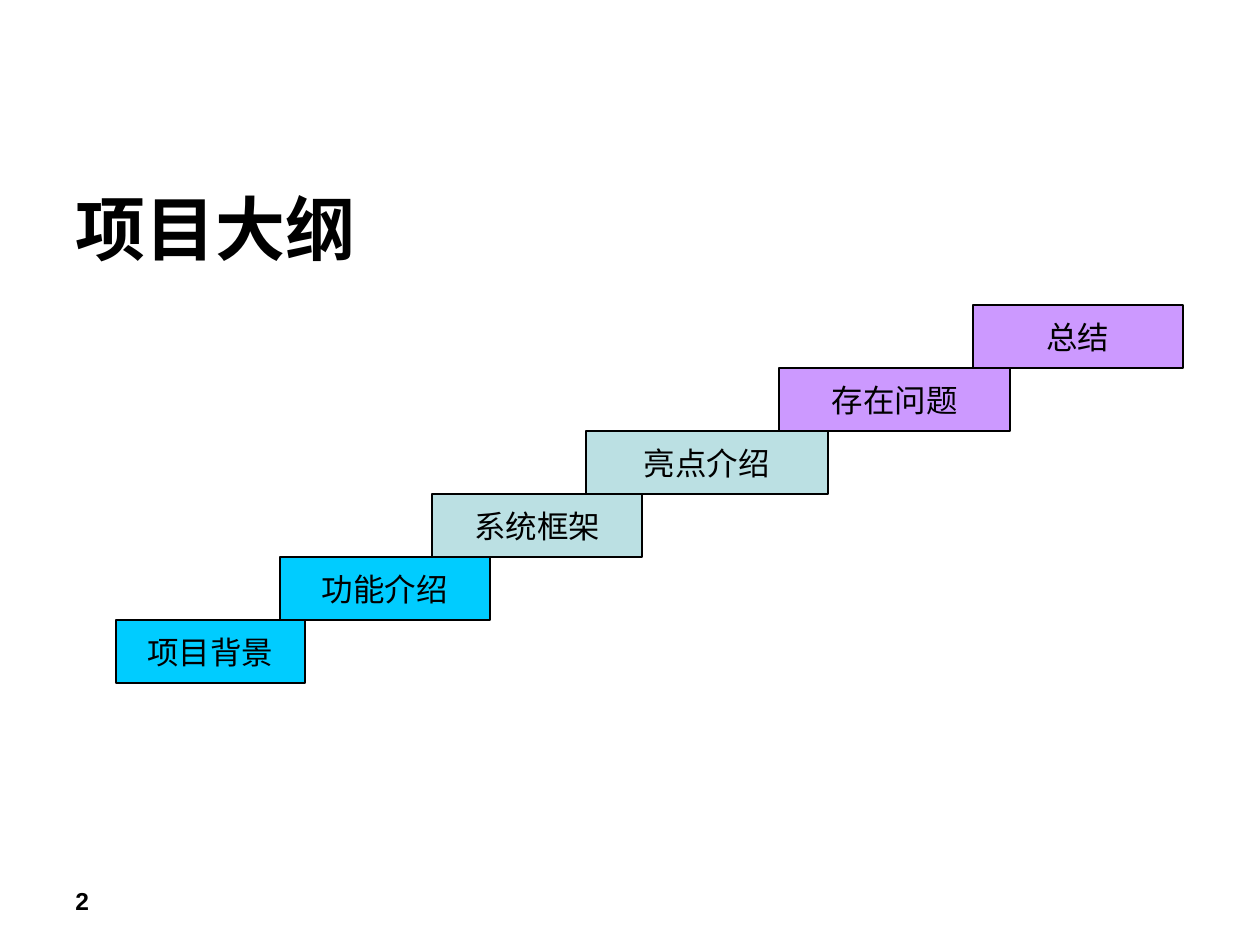
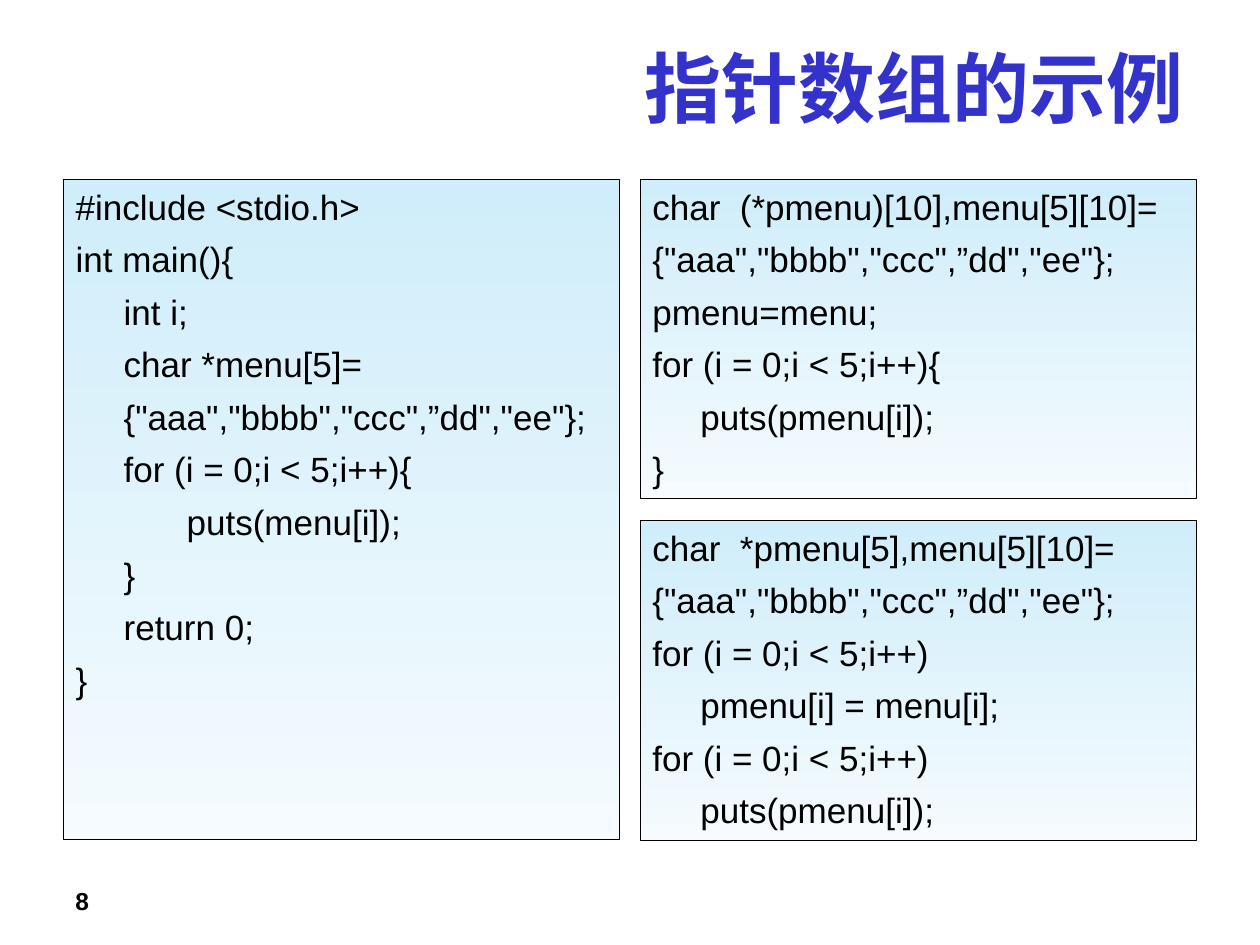
import pptx
import pptx.util
import pptx.dml.color
import pptx.enum.shapes
import pptx.enum.text
import lxml.etree
from pptx.oxml.ns import qn

SCALE = 914400 / 126  # EMU in one px
FONT = "Arial"
BLACK, INDIGO = "000000", "3333CC"
CYAN, TEAL, LILAC = "00CCFF", "BBE0E3", "CC99FF"
FADE = ("CFEDFA", "F5FBFE")
LEFT, TOP, WIDTH, DEPTH = 63, 179, 1134, 661  # content area
GAP = 20
HANG = 48
TAB = 126
STEP = 63

ALIGN = pptx.enum.text.PP_ALIGN
ANCHOR = pptx.enum.text.MSO_ANCHOR
SHAPE = pptx.enum.shapes.MSO_SHAPE

MENU = '{"aaa","bbbb","ccc",”dd","ee"};'
LOOP = "for (i = 0;i < 5;i++)"

MAIN = f"""#include <stdio.h>
int main(){{
\tint i;
\tchar *menu[5]=
\t{MENU}
\t{LOOP}{{
\t\tputs(menu[i]);
\t}}
\treturn 0;
}}"""

ROWS = f"""char  (*pmenu)[10],menu[5][10]=
{MENU}
pmenu=menu;
{LOOP}{{
\tputs(pmenu[i]);
}}"""

LIST = f"""char  *pmenu[5],menu[5][10]=
{MENU}
{LOOP}
\tpmenu[i] = menu[i];
{LOOP}
\tputs(pmenu[i]);"""


def px(count):
    return pptx.util.Emu(round(count * SCALE))


def color(code):
    return pptx.dml.color.RGBColor.from_string(code)


def place(shape, left, top, width, height):
    shape.left, shape.top = px(left), px(top)
    shape.width, shape.height = px(width), px(height)


def indent(para):
    """Give a code line a hanging indent, tab stops and no bullet."""
    props = para._p.get_or_add_pPr()
    props.set("marL", str(px(HANG)))
    props.set("indent", str(-px(HANG)))
    lxml.etree.SubElement(props, qn("a:buNone"))
    tabs = lxml.etree.SubElement(props, qn("a:tabLst"))
    for stop in range(3):
        lxml.etree.SubElement(tabs, qn("a:tab"), pos=str(px(stop * TAB)), algn="l")


def write(shape, text, size=18, hue=BLACK, bold=False, align=ALIGN.LEFT,
          anchor=ANCHOR.TOP, wrap=True, code=False, before=0):
    frame = shape.text_frame
    frame.word_wrap = wrap
    frame.auto_size = pptx.enum.text.MSO_AUTO_SIZE.NONE
    frame.vertical_anchor = anchor
    for index, line in enumerate(text.split("\n")):
        para = frame.add_paragraph() if index else frame.paragraphs[0]
        if code:
            indent(para)
        para.alignment = align
        para.space_before = pptx.util.Pt(before if index else 0)
        run = para.add_run()
        run.text = line
        run.font.name = FONT
        run.font.size = pptx.util.Pt(size)
        run.font.bold = bold
        run.font.color.rgb = color(hue)


def border(shape, weight):
    shape.line.color.rgb = color(BLACK)
    shape.line.width = pptx.util.Pt(weight)


def start(deck, layout, number):
    """Add a slide with its page number."""
    slide = deck.slides.add_slide(deck.slide_layouts[layout])
    box = slide.shapes.add_textbox(px(LEFT), px(880), px(294), px(30))
    write(box, number, size=14, bold=True)
    return slide


def block(slide, kind, left, top, width, height):
    shape = slide.shapes.add_shape(kind, px(left), px(top), px(width), px(height))
    shape.shadow.inherit = False
    return shape


def stair(slide, index, text, left, width, hue, kind):
    shape = block(slide, kind, left, 620 - index * STEP, width, STEP)
    shape.fill.solid()
    shape.fill.fore_color.rgb = color(hue)
    border(shape, 0.75)
    write(shape, text, align=ALIGN.CENTER, anchor=ANCHOR.MIDDLE, wrap=False)


def panel(shape, text):
    """Turn a shape into a code panel."""
    shape.fill.gradient()
    shape.fill.gradient_angle = 270
    for stop, hue in zip(shape.fill.gradient_stops, FADE):
        stop.color.rgb = color(hue)
    border(shape, 0.5)
    write(shape, text, size=20, code=True, before=6)


def outline(deck):
    slide = start(deck, 5, "2")
    title = slide.shapes.title
    place(title, LEFT, TOP, WIDTH, DEPTH)
    write(title, "项目大纲", size=40, bold=True)
    flow, rect = SHAPE.FLOWCHART_PROCESS, SHAPE.RECTANGLE
    stairs = [
        ("项目背景", 116, 189, CYAN, flow),
        ("功能介绍", 280, 210, CYAN, flow),
        ("系统框架", 432, 210, TEAL, flow),
        ("亮点介绍", 586, 242, TEAL, rect),
        ("存在问题", 779, 231, LILAC, rect),
        ("总结", 973, 210, LILAC, rect),
    ]
    for index, stage in enumerate(stairs):
        stair(slide, index, *stage)


def sample(deck):
    slide = start(deck, 1, "8")
    title, body = slide.placeholders
    place(title, LEFT, 32, WIDTH, 110)
    write(title, "指针数组的示例", size=44, hue=INDIGO, bold=True,
          align=ALIGN.RIGHT, anchor=ANCHOR.MIDDLE)
    width = (WIDTH - GAP) // 2
    height = (DEPTH - GAP) // 2
    place(body, LEFT, TOP, width, DEPTH)
    panel(body, MAIN)
    for text, top in ((ROWS, TOP), (LIST, TOP + DEPTH - height)):
        shape = block(slide, SHAPE.RECTANGLE, LEFT + width + GAP, top, width, height)
        panel(shape, text)


def main():
    deck = pptx.Presentation()
    deck.slide_width, deck.slide_height = px(1260), px(945)
    outline(deck)
    sample(deck)
    deck.save("out.pptx")


if __name__ == "__main__":
    main()
